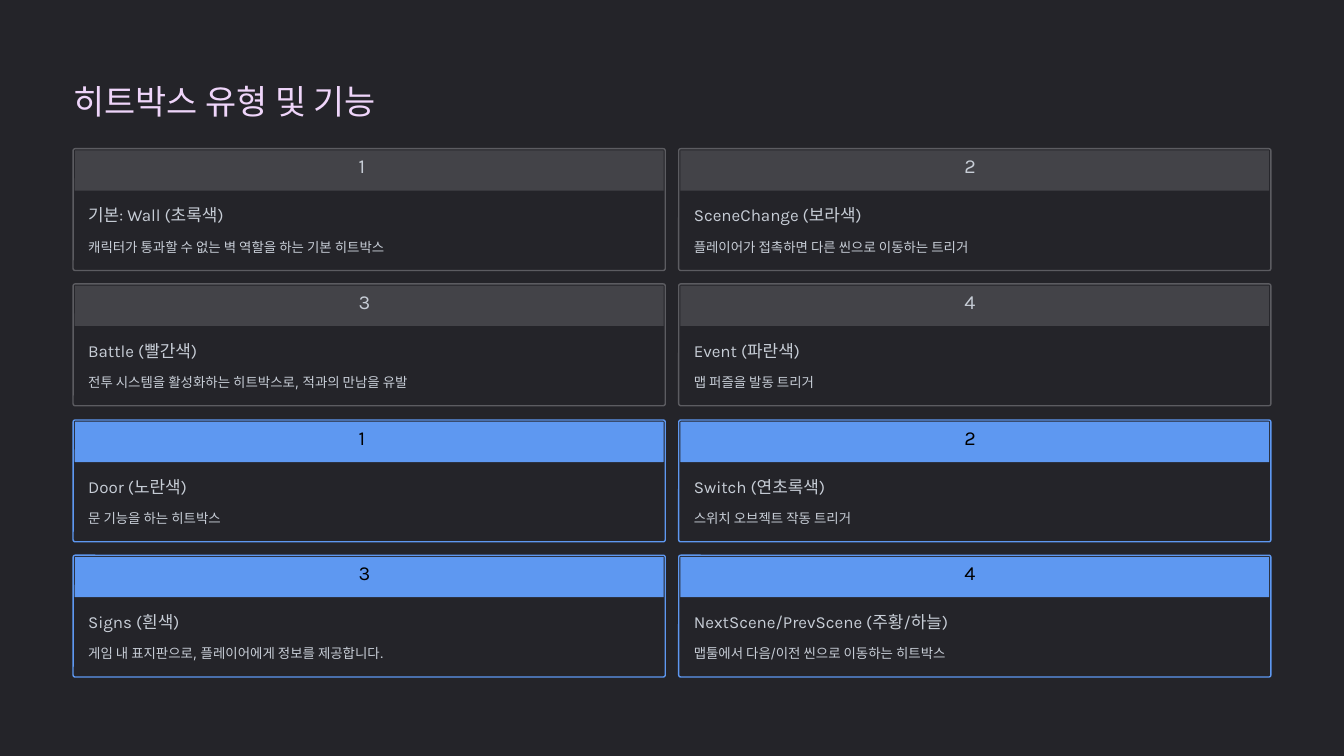
from pptx import Presentation
from pptx.dml.color import RGBColor
from pptx.enum.shapes import MSO_SHAPE as SHAPE
from pptx.util import Inches, Pt

# Content: heading, description
TITLE = "히트박스 유형 및 기능"
BASIC = [
    ("기본: Wall (초록색)", "캐릭터가 통과할 수 없는 벽 역할을 하는 기본 히트박스"),
    ("SceneChange (보라색)", "플레이어가 접촉하면 다른 씬으로 이동하는 트리거"),
    ("Battle (빨간색)", "전투 시스템을 활성화하는 히트박스로, 적과의 만남을 유발"),
    ("Event (파란색)", "맵 퍼즐을 발동 트리거"),
]
EXTRA = [
    ("Door (노란색)", "문 기능을 하는 히트박스"),
    ("Switch (연초록색)", "스위치 오브젝트 작동 트리거"),
    ("Signs (흰색)", "게임 내 표지판으로, 플레이어에게 정보를 제공합니다."),
    ("NextScene/PrevScene (주황/하늘)", "맵툴에서 다음/이전 씬으로 이동하는 히트박스"),
]

# Colours
DARK = RGBColor(0x24, 0x24, 0x29)
PINK = RGBColor(0xEF, 0xD5, 0xFA)
LIGHT = RGBColor(0xC7, 0xCD, 0xD6)
BLACK = RGBColor(0, 0, 0)
GRAY = RGBColor(0x43, 0x43, 0x48)
EDGE = RGBColor(0x5C, 0x5C, 0x61)
BLUE = RGBColor(0x5E, 0x98, 0xF1)

# Groups: cards, top, outline, header fill, number colour
GROUPS = [
    (BASIC, 1.77, EDGE, GRAY, LIGHT),
    (EXTRA, 5.0, BLUE, BLUE, BLACK),
]
LEFT, COL_STEP, ROW_STEP = 0.87, 7.21, 1.61
CARD_W, CARD_H = 7.05, 1.45
HEADING_W = 4.0

prs = Presentation()
prs.slide_width, prs.slide_height = Inches(16), Inches(9)
s = prs.slides.add_slide(prs.slide_layouts[6])
s.background.fill.solid()
s.background.fill.fore_color.rgb = DARK


def add_text(text, x, y, w, h, size, spacing, color, font="Karla"):
    tf = s.shapes.add_textbox(Inches(x), Inches(y), Inches(w), Inches(h)).text_frame
    tf.margin_left = tf.margin_right = tf.margin_top = tf.margin_bottom = 0
    tf.word_wrap = False
    p = tf.paragraphs[0]
    p.text = text
    p.line_spacing = Pt(spacing)
    f = p.runs[0].font
    f.name, f.size, f.color.rgb = font, Pt(size), color


def add_panel(x, y, w, h, radius, fill, outline=None):
    sp = s.shapes.add_shape(SHAPE.ROUNDED_RECTANGLE, Inches(x), Inches(y), Inches(w), Inches(h))
    sp.shadow.inherit = False
    sp.adjustments[0] = radius
    sp.fill.solid()
    sp.fill.fore_color.rgb = fill
    if outline is None:
        sp.line.fill.background()
    else:
        sp.line.color.rgb = outline
        sp.line.width = Pt(1.2)


# Title
add_text(TITLE, LEFT, 0.94, 4.03, 0.5, 29, 36, PINK)

# Cards, two per row
for cards, top, outline, header, number_color in GROUPS:
    for i, (heading, description) in enumerate(cards):
        row, col = divmod(i, 2)
        x, y = LEFT + col * COL_STEP, top + row * ROW_STEP
        add_panel(x, y, CARD_W, CARD_H, 0.017, DARK, outline)
        add_panel(x + 0.02, y + 0.02, CARD_W - 0.04, 0.48, 0.009, header)
        add_text(str(i + 1), x + 3.4, y + 0.11, 0.24, 0.3, 17, 17, number_color)
        add_text(heading, x + 0.18, y + 0.66, HEADING_W, 0.25, 14.5, 18, LIGHT)
        add_text(description, x + 0.18, y + 1.01, 6.7, 0.26, 11.5, 18.5, LIGHT, "Inter")

prs.save("out.pptx")
